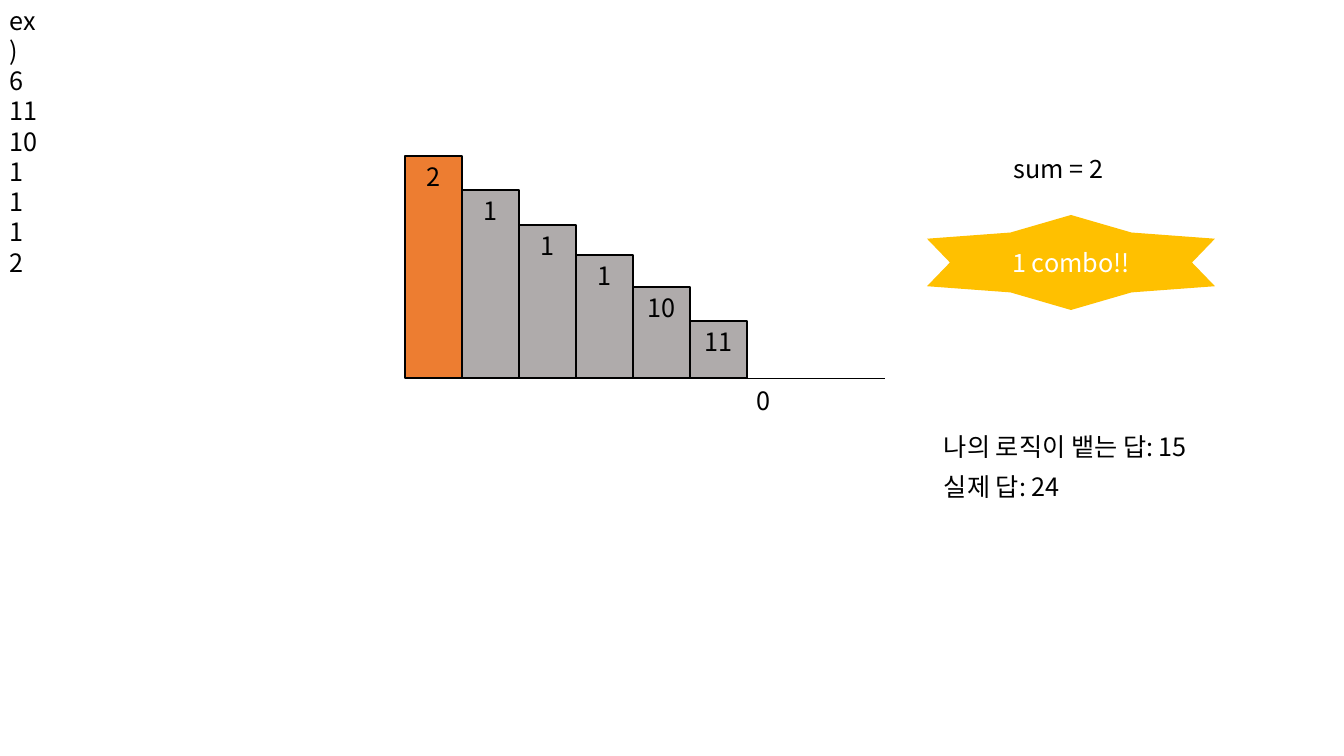
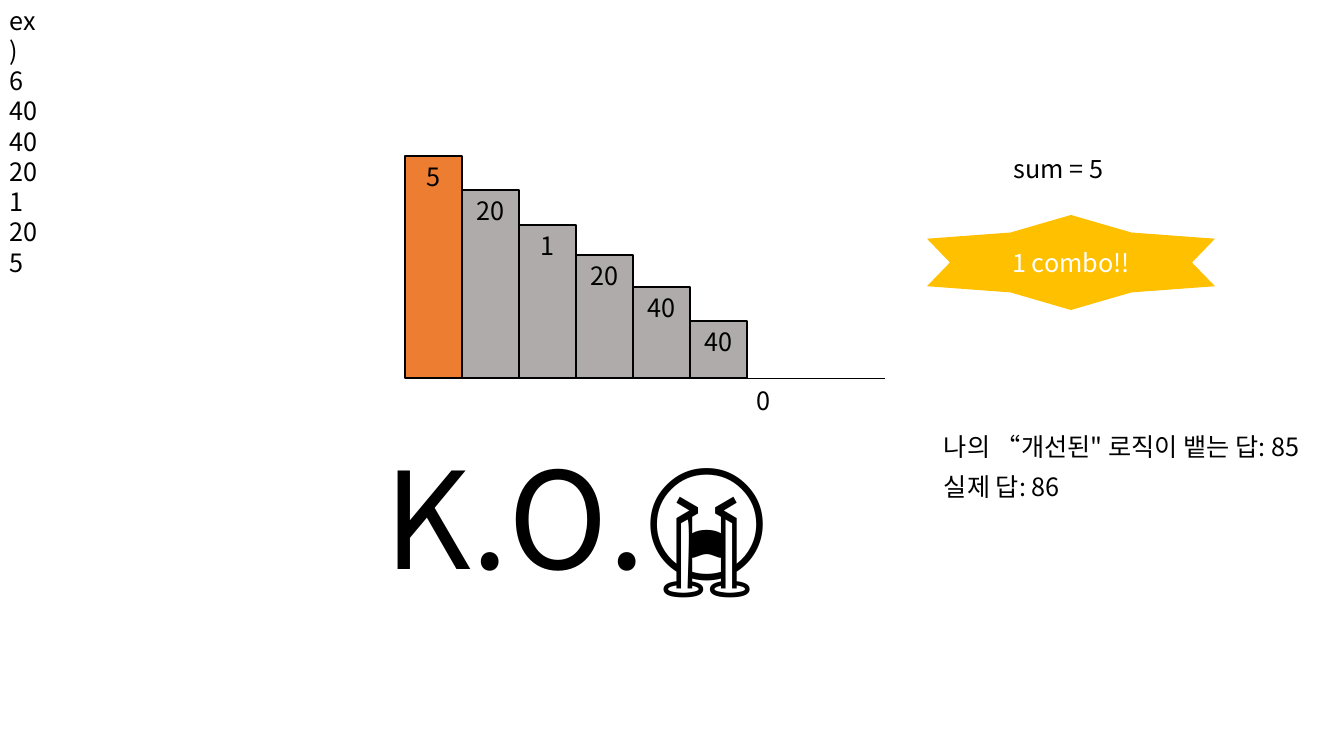
from lxml import etree
from pptx import Presentation
from pptx.dml.color import RGBColor
from pptx.enum.shapes import MSO_CONNECTOR, MSO_SHAPE
from pptx.enum.text import MSO_ANCHOR, PP_ALIGN
from pptx.oxml.ns import qn
from pptx.util import Emu, Pt

BLACK = RGBColor(0x00, 0x00, 0x00)
WHITE = RGBColor(0xFF, 0xFF, 0xFF)
GRAY = RGBColor(0xAF, 0xAB, 0xAB)
ORANGE = RGBColor(0xED, 0x7D, 0x31)
GOLD = RGBColor(0xFF, 0xC0, 0x00)
RECTANGLE = MSO_SHAPE.RECTANGLE
STAR = MSO_SHAPE.STAR_6_POINT
STRAIGHT = MSO_CONNECTOR.STRAIGHT
LEFT, CENTER = PP_ALIGN.LEFT, PP_ALIGN.CENTER
TOP, MIDDLE = MSO_ANCHOR.TOP, MSO_ANCHOR.MIDDLE

FONT = "Noto Sans CJK KR"
EMU_PER_PX = 914400 / 100.8
SLIDE_SIZE = 1344, 756
BAR_LEFT, BAR_WIDTH, BASELINE = 405, 57, 378
BAR_TOPS = 156, 190, 225, 255, 287, 321
LINE_HEIGHT = 40


def px(*lengths):
    return [Emu(round(length * EMU_PER_PX)) for length in lengths]


class Deck:
    """Draws styled elements on the current slide of a presentation."""

    def __init__(self):
        self.presentation = Presentation()
        self.presentation.slide_width, self.presentation.slide_height = px(*SLIDE_SIZE)
        self.slide = None

    def new_slide(self):
        self.slide = self.presentation.slides.add_slide(self.presentation.slide_layouts[6])

    def fill_text(self, frame, lines, size=18, color=BLACK, align=LEFT, anchor=TOP):
        frame.word_wrap = True
        frame.vertical_anchor = anchor
        for index, line in enumerate(lines):
            paragraph = frame.add_paragraph() if index else frame.paragraphs[0]
            paragraph.alignment = align
            run = paragraph.add_run()
            run.text = line
            run.font.name = FONT
            run.font.size = Pt(size)
            run.font.color.rgb = color
            east_asian = etree.SubElement(run.font._element, qn("a:ea"))
            east_asian.set("typeface", FONT)

    def text(self, box, *lines, **style):
        self.fill_text(self.slide.shapes.add_textbox(*px(*box)).text_frame, lines, **style)

    def block(self, kind, box, fill, label, outline=None, **style):
        block = self.slide.shapes.add_shape(kind, *px(*box))
        block.shadow.inherit = False
        block.fill.solid()
        block.fill.fore_color.rgb = fill
        if outline is None:
            block.line.fill.background()
        else:
            block.line.color.rgb = outline
            block.line.width = Pt(1)
        self.fill_text(block.text_frame, [label], align=CENTER, **style)
        return block

    def line(self, start, end):
        line = self.slide.shapes.add_connector(STRAIGHT, *px(*start, *end))
        line.line.color.rgb = BLACK
        line.line.width = Pt(0.5)
        etree.SubElement(line._element.spPr, qn("a:effectLst"))

    def bars(self, values):
        for index, (value, top) in enumerate(zip(reversed(values), BAR_TOPS)):
            box = BAR_LEFT + index * BAR_WIDTH, top, BAR_WIDTH, BASELINE - top
            self.block(RECTANGLE, box, GRAY if index else ORANGE, value, outline=BLACK)
        self.line((885, BASELINE), (BAR_LEFT, BASELINE))
        self.text((747, 380, 34, LINE_HEIGHT), "0")

    def combo(self, label):
        badge = self.block(STAR, (927, 215, 288, 95), GOLD, label, color=WHITE, anchor=MIDDLE)
        badge.adjustments[0] = 0.364

    def example(self, values, logic_answer, logic_width, real_answer):
        self.new_slide()
        self.bars(values)
        self.combo("1 combo!!")
        self.text((1004, 148, 118, LINE_HEIGHT), f"sum = {values[-1]}")
        self.text((0, 0, 53, 254), "ex)", str(len(values)), *values)
        self.text((934, 426, logic_width, LINE_HEIGHT), logic_answer)
        self.text((934, 466, 148, LINE_HEIGHT), real_answer)


def main():
    deck = Deck()
    deck.example(["11", "10", "1", "1", "1", "2"], "나의 로직이 뱉는 답: 15", 293, "실제 답: 24")
    deck.example(["40", "40", "20", "1", "20", "5"], "나의 “개선된\" 로직이 뱉는 답: 85", 399, "실제 답: 86")
    deck.text((290, 430, 573, 173), "K.O.😭", size=96, align=CENTER)
    deck.presentation.save("out.pptx")


if __name__ == "__main__":
    main()
